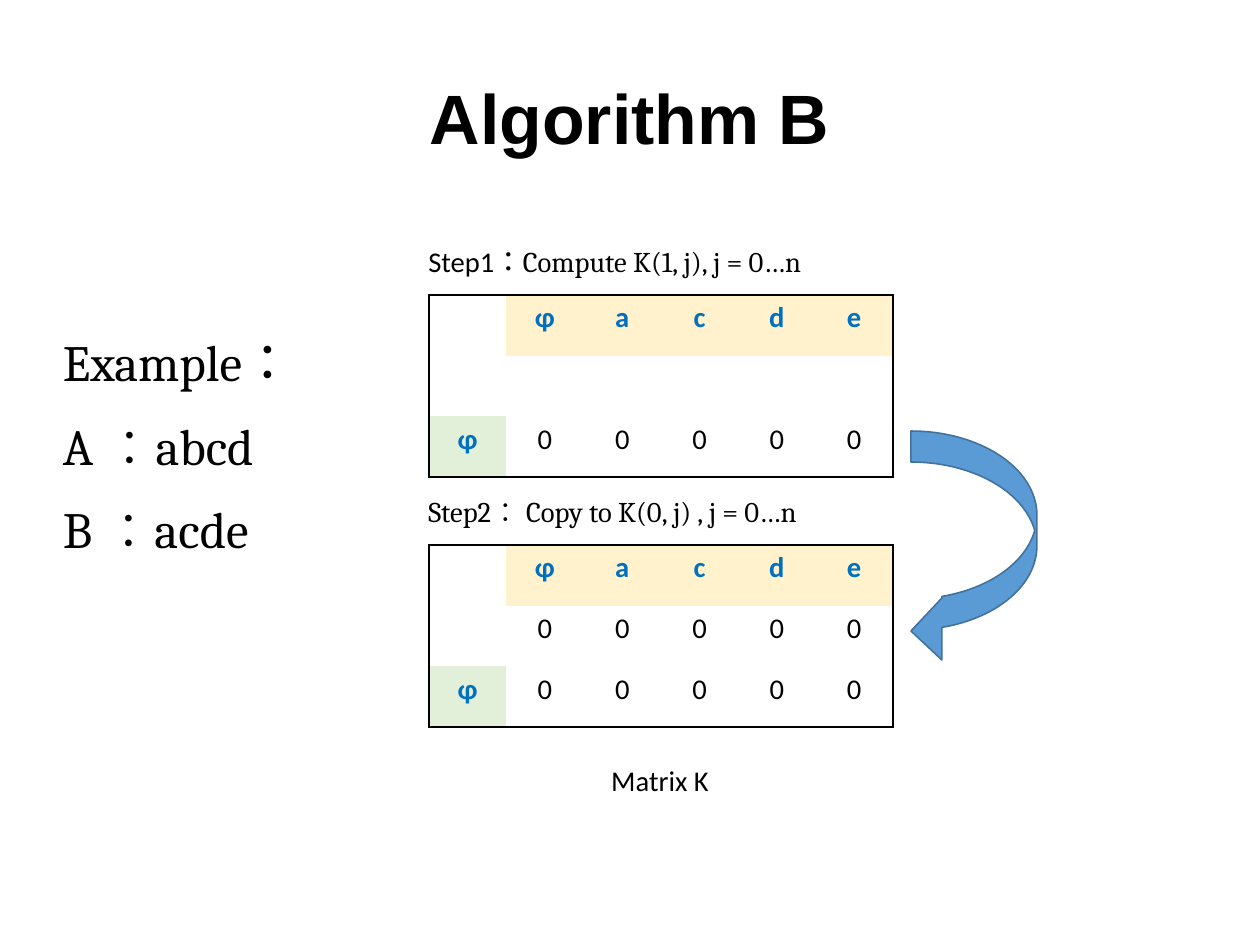
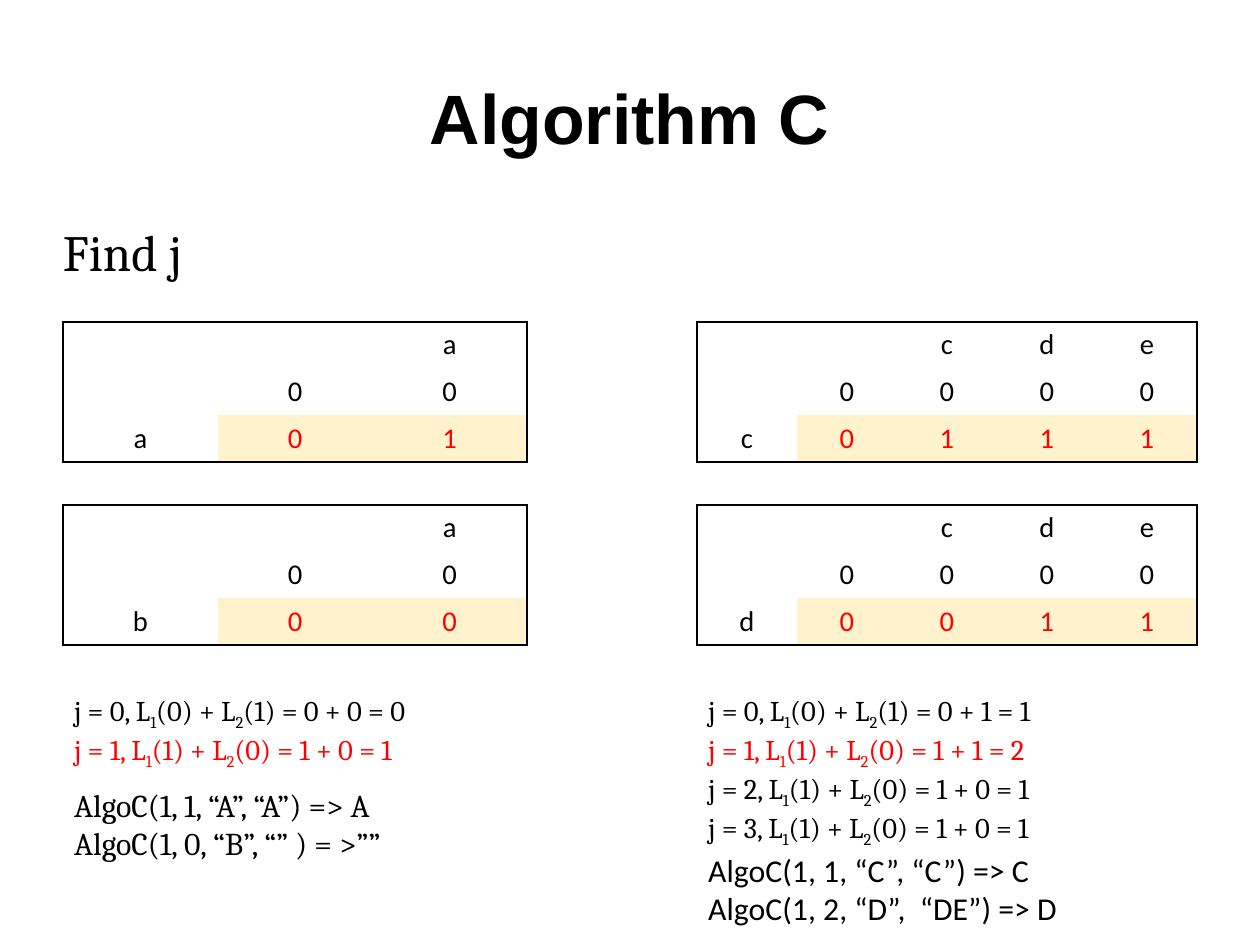
"""Build two slides on the longest common subsequence algorithms B and C."""
import math

from pptx import Presentation
from pptx.dml.color import RGBColor
from pptx.enum import text
from pptx.oxml import ns, xmlchemy
from pptx import util as u

PX = 8000
BLACK = RGBColor(0x00, 0x00, 0x00)
RED = RGBColor(0xFF, 0x00, 0x00)
HEAD_BLUE = RGBColor(0x00, 0x70, 0xC0)
ARROW_BLUE = RGBColor(0x5B, 0x9B, 0xD5)
ARROW_EDGE = RGBColor(0x41, 0x71, 0x9C)
CREAM = RGBColor(0xFF, 0xF2, 0xCC)
GREEN = RGBColor(0xE2, 0xF0, 0xD9)
SERIF, SANS, TITLE_FONT, CJK = "Cambria", "Calibri", "Arial", "Noto Sans CJK TC"
NO_GRID_STYLE = "{2D5ABB26-0587-4C30-8999-92F81FD0307C}"
TITLE_BOX = (63, 38, 1134, 158)
LEFT, CENTER = text.PP_ALIGN.LEFT, text.PP_ALIGN.CENTER


def px(*lengths):
    """Turn px lengths into EMU."""
    return [u.Emu(round(n * PX)) for n in lengths]


def add_xml(parent, tag, **attrs):
    """Append a DrawingML element with the given attributes."""
    el = xmlchemy.OxmlElement(tag)
    for name, value in attrs.items():
        el.set(name, value)
    parent.append(el)
    return el


def write(tf, lines, *, font=SANS, size=18, color=BLACK, bold=False,
          align=LEFT, gap=0, plain=False):
    """Fill a text frame; a line is a string or a list of (text, format) runs."""
    for i, line in enumerate(lines):
        p = tf.paragraphs[0] if i == 0 else tf.add_paragraph()
        p.alignment = align
        p.space_before = u.Pt(gap if i else 0)
        if plain:
            pPr = p._p.get_or_add_pPr()
            pPr.set("marL", "0")
            pPr.set("indent", "0")
            add_xml(pPr, "a:buNone")
        for words, fmt in [(line, {})] if isinstance(line, str) else line:
            r = p.add_run()
            r.text = words
            r.font.size = u.Pt(size)
            r.font.bold = bold
            r.font.color.rgb = fmt.get("color", color)
            r.font.name = fmt.get("font", font)
            rPr = r._r.get_or_add_rPr()
            rPr.set("lang", "zh-TW")
            add_xml(rPr, "a:ea", typeface=r.font.name)
            if fmt.get("sub"):
                rPr.set("baseline", "-25000")


def add_text(sl, box, lines, anchor=text.MSO_ANCHOR.TOP, **fmt):
    """Add a growing text box without wrapping."""
    tf = sl.shapes.add_textbox(*px(*box)).text_frame
    tf.word_wrap = False
    tf.auto_size = text.MSO_AUTO_SIZE.SHAPE_TO_FIT_TEXT
    tf.vertical_anchor = anchor
    write(tf, lines, **fmt)


def fill_placeholder(sp, box, lines, anchor, **fmt):
    """Move a placeholder to a box and write into it without insets."""
    sp.left, sp.top, sp.width, sp.height = px(*box)
    tf = sp.text_frame
    tf.margin_left = tf.margin_right = tf.margin_top = tf.margin_bottom = 0
    tf.word_wrap = True
    tf.auto_size = text.MSO_AUTO_SIZE.NONE
    tf.vertical_anchor = anchor
    write(tf, lines, **fmt)


def add_slide(prs, title, body_box, body):
    """Add a slide with the shared title and body style."""
    sl = prs.slides.add_slide(prs.slide_layouts[1])
    fill_placeholder(sl.shapes.title, TITLE_BOX, [title], text.MSO_ANCHOR.MIDDLE,
                     font=TITLE_FONT, size=44, bold=True, align=CENTER)
    fill_placeholder(sl.placeholders[1], body_box, body, text.MSO_ANCHOR.TOP,
                     font=SERIF, size=32, gap=14.2, plain=True)
    return sl


def step_style(row, col):
    """Give fill, text colour and weight for a cell of a step matrix."""
    if row == 0 and col:
        return CREAM, HEAD_BLUE, True
    if row == 2 and not col:
        return GREEN, HEAD_BLUE, True
    return None, BLACK, False


def split_style(row, col):
    """Give fill, text colour and weight for a cell of a split matrix."""
    return (CREAM, RED, False) if row == 2 and col else (None, BLACK, False)


def add_matrix(sl, box, rows, style):
    """Add a table of single letters with a black outline only."""
    n_rows, n_cols = len(rows), len(rows[0])
    tbl = sl.shapes.add_table(n_rows, n_cols, *px(*box)).table
    tbl.first_row = tbl.horz_banding = False
    tbl._tbl.tblPr.find(ns.qn("a:tableStyleId")).text = NO_GRID_STYLE
    for i, row in enumerate(rows):
        for j, value in enumerate(row):
            cell = tbl.cell(i, j)
            fill, color, bold = style(i, j)
            if value.strip():
                write(cell.text_frame, [value], color=color, bold=bold, align=CENTER)
            edges = {"a:lnL": j == 0, "a:lnR": j == n_cols - 1,
                     "a:lnT": i == 0, "a:lnB": i == n_rows - 1}
            tcPr = cell._tc.get_or_add_tcPr()
            for tag in (tag for tag, outer in edges.items() if outer):
                solid = add_xml(add_xml(tcPr, tag, w="12700"), "a:solidFill")
                add_xml(solid, "a:srgbClr", val=str(BLACK))
            if fill is None:
                cell.fill.background()
            else:
                cell.fill.solid()
                cell.fill.fore_color.rgb = fill


def step_panel(sl, box, caption, rows):
    """Place a step caption above its matrix."""
    x, y, w, h = box
    add_text(sl, (x, y, w - 40, 46), [caption], text.MSO_ANCHOR.MIDDLE, font=SERIF)
    add_matrix(sl, (x + 12, y + 57, w - 12, h - 57), rows, step_style)


def arc(cx, cy, rx, ry, start, end, steps=24):
    """List points on an ellipse between two angles in degrees."""
    angles = [math.radians(start + (end - start) * i / steps) for i in range(steps + 1)]
    return [(cx + rx * math.cos(t), cy + ry * math.sin(t)) for t in angles]


def copy_arrow(sl, box):
    """Draw the flat curved arrow from the first matrix to the second."""
    x, y, w, h = box
    head = w // 4
    band = head
    ry = (h - band // 2 - band - 14) // 2
    upper, lower = y + ry, y + ry + band
    turn = math.degrees(math.acos(head / w))
    cross = math.degrees(math.asin(band / 2 / ry))
    tip = [(x + head, y + h), (x, y + h - 29), (x + head, y + h - 2 * band)]
    points = (arc(x, upper, w, ry, -90, 0) + arc(x, lower, w, ry, 0, turn) + tip
              + arc(x, upper, w, ry, turn, cross) + arc(x, lower, w, ry, -cross, -90))
    start, *rest = [px(*point) for point in points]
    builder = sl.shapes.build_freeform(*start, scale=1.0)
    builder.add_line_segments(rest, close=True)
    sp = builder.convert_to_shape()
    sp.shadow.inherit = False
    sp.fill.solid()
    sp.fill.fore_color.rgb = ARROW_BLUE
    sp.line.color.rgb = ARROW_EDGE
    sp.line.width = u.Pt(1)


def sum_line(j, a, b, left, right, color=BLACK):
    """Compose the runs of one sum of L1 and L2."""
    plain, sub = {"color": color}, {"color": color, "sub": True}
    return [(f"j = {j}, L", plain), ("1", sub), (f"({a}) + L", plain), ("2", sub),
            (f"({b}) = {left} + {right} = {left + right}", plain)]


def split_column(sl, box, matrices, sums, calls, calls_dy, calls_font):
    """Place two matrices, the sums and the resulting calls in one column."""
    x, y, w, h = box
    for i, rows in enumerate(matrices):
        add_matrix(sl, (x, y + 183 * i, w, h), rows, split_style)
    add_text(sl, (x, y + 365, 412, 81), sums, font=SERIF)
    add_text(sl, (x, y + calls_dy, 440, 90), calls, font=calls_font, size=20)


def algorithm_b(prs):
    """Build the slide on algorithm B."""
    example = [[("Example", {}), ("：", {"font": CJK})], "A ：abcd", "B ：acde"]
    sl = add_slide(prs, "Algorithm B", (63, 331, 320, 320), example)
    head, blank, zeros = " ɸacde", " " * 6, "00000"
    step1 = [("Step1", {"font": SANS}), ("：", {"font": CJK}),
             ("Compute K(1, j), j = 0…n", {})]
    step2 = "Step2： Copy to K(0, j) , j = 0…n"
    step_panel(sl, (417, 238, 476, 239), step1, [head, blank, "ɸ" + zeros])
    step_panel(sl, (417, 488, 476, 239), step2, [head, " " + zeros, "ɸ" + zeros])
    copy_arrow(sl, (911, 431, 126, 229))
    add_text(sl, (600, 757, 121, 46), ["Matrix K"])


def algorithm_c(prs):
    """Build the slide on algorithm C."""
    sl = add_slide(prs, "Algorithm C", (63, 221, 1134, 75), ["Find j"])
    split_column(sl, (63, 322, 464, 140),
                 [["  a", " 00", "a01"], ["  a", " 00", "b00"]],
                 [sum_line(0, 0, 1, 0, 0), sum_line(1, 1, 0, 1, 0, RED)],
                 ["AlgoC(1, 1, “A”, “A”) => A", "AlgoC(1, 0, “B”, “” ) = >””"],
                 458, SERIF)
    split_column(sl, (697, 322, 500, 140),
                 [["  cde", " 0000", "c0111"], ["  cde", " 0000", "d0011"]],
                 [sum_line(0, 0, 1, 0, 1), sum_line(1, 1, 0, 1, 1, RED),
                  sum_line(2, 1, 0, 1, 0), sum_line(3, 1, 0, 1, 0)],
                 ["AlgoC(1, 1, “C”, “C”) => C", "AlgoC(1, 2, “D”,  “DE”) => D"],
                 523, SANS)


def main():
    """Build and save the presentation."""
    prs = Presentation()
    prs.slide_width, prs.slide_height = px(1260, 945)
    algorithm_b(prs)
    algorithm_c(prs)
    prs.save("out.pptx")


if __name__ == "__main__":
    main()
